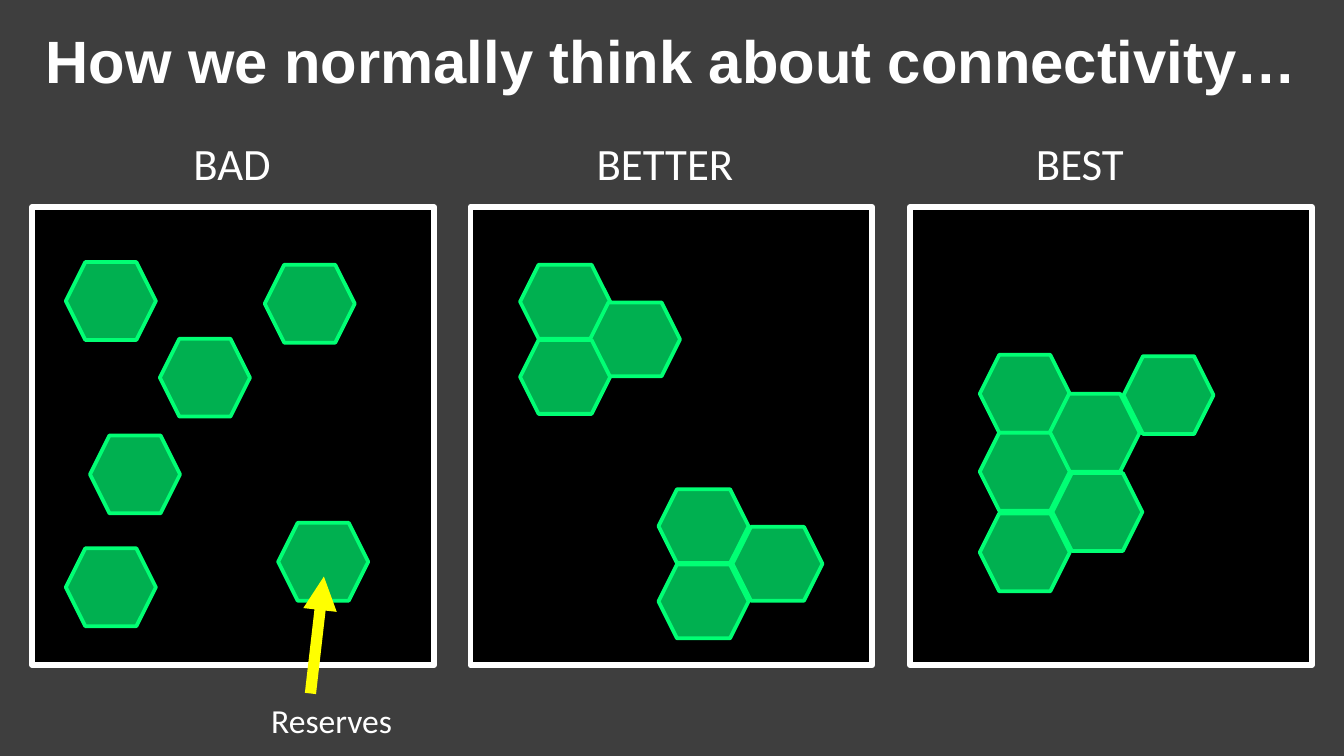
from dataclasses import dataclass

from lxml import etree
from pptx import Presentation
from pptx.dml.color import RGBColor
from pptx.enum.shapes import MSO_CONNECTOR, MSO_SHAPE
from pptx.enum.text import MSO_ANCHOR, MSO_AUTO_SIZE, PP_ALIGN
from pptx.oxml.ns import qn
from pptx.util import Inches, Pt

RECTANGLE = MSO_SHAPE.RECTANGLE
HEXAGON = MSO_SHAPE.HEXAGON
STRAIGHT = MSO_CONNECTOR.STRAIGHT
MIDDLE = MSO_ANCHOR.MIDDLE
CENTER = PP_ALIGN.CENTER
NO_AUTOFIT = MSO_AUTO_SIZE.NONE
TITLE_ONLY = 5


@dataclass(frozen=True)
class Theme:
    background: RGBColor = RGBColor(0x3E, 0x3E, 0x3E)
    text: RGBColor = RGBColor(0xFF, 0xFF, 0xFF)
    panel: RGBColor = RGBColor(0x00, 0x00, 0x00)
    reserve: RGBColor = RGBColor(0x00, 0xB0, 0x50)
    reserve_edge: RGBColor = RGBColor(0x01, 0xFF, 0x74)
    arrow: RGBColor = RGBColor(0xFF, 0xFF, 0x00)
    title_font: str = "Arial"
    label_font: str = "Calibri"
    title_size: int = 32
    heading_size: int = 24
    note_size: int = 18
    panel_line: int = 3
    reserve_line: int = 2
    arrow_line: int = 6


class SlideBuilder:
    def __init__(self, slide, theme):
        self.slide = slide
        self.theme = theme
        fill = slide.background.fill
        fill.solid()
        fill.fore_color.rgb = theme.background

    def format_text(self, paragraph, font_name, size, bold=False):
        for run in paragraph.runs:
            run.font.name = font_name
            run.font.size = Pt(size)
            run.font.bold = bold
            run.font.color.rgb = self.theme.text

    def title(self, text, left, top, width, height):
        title = self.slide.shapes.title
        title.left, title.top = Inches(left), Inches(top)
        title.width, title.height = Inches(width), Inches(height)
        frame = title.text_frame
        frame.text = text
        frame.auto_size = NO_AUTOFIT
        frame.vertical_anchor = MIDDLE
        heading = frame.paragraphs[0]
        heading.alignment = CENTER
        self.format_text(heading, self.theme.title_font, self.theme.title_size, True)

    def label(self, text, left, top, width, height, size):
        box = self.slide.shapes.add_textbox(
            Inches(left), Inches(top), Inches(width), Inches(height))
        frame = box.text_frame
        frame.word_wrap = True
        frame.text = text
        self.format_text(frame.paragraphs[0], self.theme.label_font, size)

    def outlined(self, preset, left, top, width, height, fill, edge, weight):
        shape = self.slide.shapes.add_shape(
            preset, Inches(left), Inches(top), Inches(width), Inches(height))
        shape.shadow.inherit = False
        shape.fill.solid()
        shape.fill.fore_color.rgb = fill
        shape.line.color.rgb = edge
        shape.line.width = Pt(weight)

    def panel(self, left, top, width, height):
        theme = self.theme
        self.outlined(RECTANGLE, left, top, width, height,
                      theme.panel, theme.text, theme.panel_line)

    def reserve(self, left, top, height):
        theme = self.theme
        self.outlined(HEXAGON, left, top, 0.67, height,
                      theme.reserve, theme.reserve_edge, theme.reserve_line)

    def arrow(self, start_x, start_y, end_x, end_y):
        arrow = self.slide.shapes.add_connector(
            STRAIGHT, Inches(start_x), Inches(start_y), Inches(end_x), Inches(end_y))
        arrow.line.color.rgb = self.theme.arrow
        arrow.line.width = Pt(self.theme.arrow_line)
        etree.SubElement(arrow.line._get_or_add_ln(), qn("a:tailEnd"), type="triangle")
        etree.SubElement(arrow._element.spPr, qn("a:effectLst"))


def main():
    presentation = Presentation()
    presentation.slide_width = Inches(10)
    presentation.slide_height = Inches(10) * 9 // 16
    theme = Theme()
    builder = SlideBuilder(
        presentation.slides.add_slide(presentation.slide_layouts[TITLE_ONLY]), theme)

    builder.title("How we normally think about connectivity…", 0.12, 0.09, 9.76, 0.71)

    headings = [("BAD", 1.34, 0.78, 0.24),
                ("BETTER", 4.34, 1.32, 3.5),
                ("BEST", 7.61, 0.94, 6.77)]
    for heading, left, width, panel_left in headings:
        builder.panel(panel_left, 1.54, 2.99, 3.41)
        builder.label(heading, left, 0.96, width, 0.5, theme.heading_size)

    scattered = [(0.49, 1.95), (1.97, 1.97), (2.07, 3.89),
                 (1.19, 2.52), (0.49, 4.08), (0.67, 3.24)]
    joined = [(7.29, 2.64), (8.36, 2.65), (7.83, 3.52),
              (7.81, 2.93), (7.29, 3.82), (7.29, 3.22)]
    for left, top in scattered + joined:
        builder.reserve(left, top, 0.58)

    for left, top, neighbour_left in [(3.87, 1.97, 4.39), (4.9, 3.64, 5.45)]:
        cluster = [left, neighbour_left, left]
        for step, reserve_left in enumerate(cluster):
            builder.reserve(reserve_left, top + step * 0.28, 0.55)

    builder.label("Reserves", 1.92, 5.16, 1.23, 0.4, theme.note_size)
    builder.arrow(2.31, 5.16, 2.41, 4.29)

    presentation.save("out.pptx")


if __name__ == "__main__":
    main()
